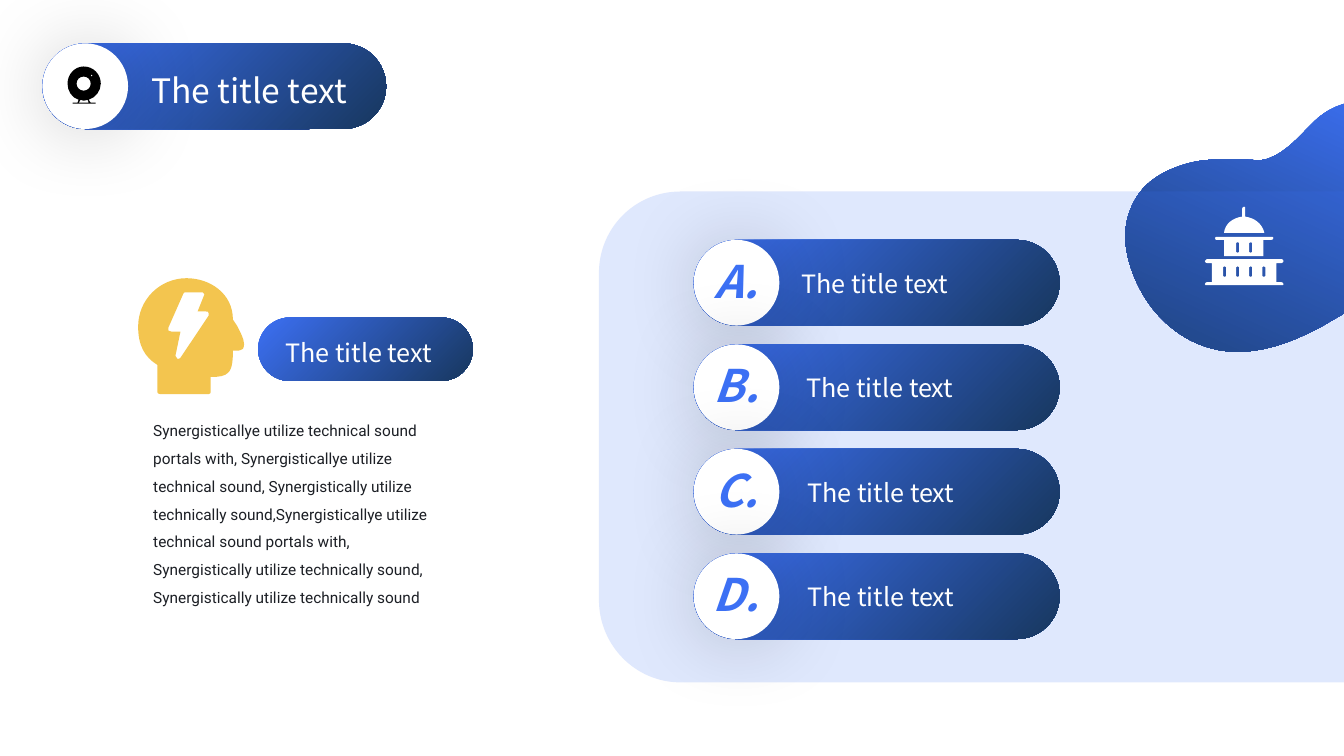
"""Build a title slide with four lettered pills, a side note and icons."""
import math
from dataclasses import dataclass

from lxml import etree
from pptx import Presentation
from pptx import util as u
from pptx.dml import color
from pptx.enum import shapes, text
from pptx.oxml import ns

HUES = {"blue": "3C70F4", "navy": "17375E", "white": "FFFFFF",
        "gold": "F3C54F", "black": "000000", "ink": "1C1F25"}
SANS = "Noto Sans CJK SC"
TITLE = "The title text"
NOTE = ("Synergisticallye utilize technical sound portals with, "
        "Synergisticallye utilize technical sound, "
        "Synergistically utilize technically sound,"
        "Synergisticallye utilize technical sound portals with, "
        "Synergistically utilize technically sound, "
        "Synergistically utilize technically sound")
DISC = 0.85
TILT = 20.5
HUB = (12.49, 2.42)

BLOB = """M 13.33 1.03 L 13.33 3.11 L 13.09 3.25
C 12.99 3.3 12.89 3.35 12.78 3.39 C 12.57 3.47 12.34 3.51 12.13 3.48
C 11.72 3.42 11.41 3.12 11.26 2.77 C 11.2 2.63 11.16 2.48 11.16 2.32
C 11.17 2.17 11.22 2.01 11.33 1.88 C 11.46 1.73 11.67 1.64 11.88 1.6
C 12.08 1.57 12.28 1.58 12.47 1.59 C 12.5 1.59 12.53 1.59 12.56 1.58
C 12.75 1.52 12.88 1.36 13.02 1.22 C 13.09 1.15 13.16 1.1 13.25 1.06"""
PANEL = """M 6.75 1.9 L 13.33 1.9 L 13.33 6.77 L 6.75 6.77
C 6.3 6.77 5.94 6.4 5.94 5.95 L 5.94 2.71 C 5.94 2.26 6.3 1.9 6.75 1.9"""
HEAD = """M 2.35 3.23 C 2.33 3.2 2.31 3.17 2.31 3.17
C 2.31 2.91 2.08 2.76 1.85 2.76 C 1.59 2.76 1.37 2.97 1.37 3.24
C 1.37 3.42 1.43 3.54 1.56 3.62 L 1.56 3.89 C 1.56 3.9 1.57 3.91 1.59 3.91
L 2.07 3.91 C 2.08 3.91 2.09 3.9 2.09 3.89 L 2.09 3.74
C 2.18 3.74 2.23 3.73 2.26 3.7 C 2.31 3.66 2.31 3.54 2.31 3.48
C 2.32 3.48 2.35 3.48 2.36 3.48 C 2.38 3.48 2.39 3.47 2.41 3.46
C 2.42 3.44 2.42 3.43 2.42 3.42 L 2.42 3.41 C 2.42 3.36 2.38 3.29 2.35 3.23
M 2.07 3.13 L 1.79 3.55 C 1.79 3.55 1.78 3.56 1.77 3.56 L 1.76 3.56
C 1.76 3.55 1.74 3.54 1.74 3.53 L 1.79 3.29 L 1.7 3.29
C 1.68 3.29 1.68 3.29 1.67 3.28 C 1.67 3.28 1.67 3.26 1.67 3.25
L 1.82 2.91 C 1.82 2.9 1.83 2.9 1.83 2.9 L 2.01 2.9
C 2.01 2.9 2.02 2.9 2.02 2.91 C 2.03 2.91 2.03 2.93 2.02 2.94
L 1.96 3.09 L 2.04 3.09 C 2.06 3.09 2.07 3.09 2.07 3.11"""
CAM = """M 0.83 0.66 C 0.93 0.66 1 0.74 1 0.83 C 1 0.9 0.95 0.97 0.88 0.99
L 0.9 1.02 L 0.95 1.02 L 0.95 1.03 L 0.72 1.03 L 0.72 1.02 L 0.77 1.02
L 0.78 0.99 C 0.71 0.97 0.67 0.9 0.67 0.83 C 0.67 0.74 0.74 0.66 0.83 0.66
M 0.8 0.99 L 0.78 1.02 L 0.88 1.02 L 0.87 0.99
C 0.86 0.99 0.85 1 0.83 1 C 0.82 1 0.81 0.99 0.8 0.99
M 0.83 0.76 C 0.79 0.76 0.76 0.79 0.76 0.83 C 0.76 0.87 0.79 0.9 0.83 0.9
C 0.87 0.9 0.9 0.87 0.9 0.83 C 0.9 0.79 0.87 0.76 0.83 0.76
M 0.91 0.74 C 0.91 0.74 0.9 0.74 0.9 0.75 C 0.9 0.75 0.91 0.76 0.91 0.76
C 0.92 0.76 0.92 0.75 0.92 0.75 C 0.92 0.74 0.92 0.74 0.91 0.74"""
DOME = """M 12.54 2.31 C 12.52 2.22 12.44 2.16 12.35 2.15 L 12.35 2.07
C 12.35 2.06 12.35 2.05 12.34 2.05 C 12.33 2.05 12.32 2.06 12.32 2.07
L 12.32 2.15 C 12.23 2.16 12.15 2.22 12.14 2.31"""
HALL = """M 12.06 2.38 L 12.14 2.38 L 12.14 2.54 L 12.53 2.54 L 12.53 2.38
L 12.61 2.38 C 12.62 2.38 12.63 2.37 12.63 2.36 C 12.63 2.35 12.62 2.35 12.61 2.35
L 12.06 2.35 C 12.06 2.35 12.05 2.35 12.05 2.36 C 12.05 2.37 12.06 2.38 12.06 2.38"""
BASE = """M 12.71 2.8 L 12.66 2.8 L 12.66 2.61 L 12.71 2.61
C 12.72 2.61 12.73 2.6 12.73 2.59 C 12.73 2.58 12.72 2.57 12.71 2.57
L 11.97 2.57 C 11.96 2.57 11.95 2.58 11.95 2.59 C 11.95 2.6 11.96 2.61 11.97 2.61
L 12.02 2.61 L 12.02 2.8 L 11.97 2.8 C 11.96 2.8 11.95 2.81 11.95 2.82
C 11.95 2.83 11.96 2.83 11.97 2.83 L 12.71 2.83
C 12.72 2.83 12.73 2.83 12.73 2.82 C 12.73 2.81 12.72 2.8 12.71 2.8"""


@dataclass
class Row:
    mark: str
    left: float


@dataclass
class Style:
    size: float
    hue: str = "white"
    font: str = SANS
    bold: bool = False
    pad: bool = True
    align: text.PP_ALIGN = text.PP_ALIGN.LEFT
    mid: bool = False
    space: float = 1.0


ROWS = [Row("A.", 7.85), Row("B.", 7.9), Row("C.", 7.91), Row("D.", 7.91)]
HEADING = Style(24)
LABEL = Style(18, align=text.PP_ALIGN.JUSTIFY)
MARK = Style(32, "blue", bold=True, pad=False, align=text.PP_ALIGN.CENTER, mid=True)
BODY = Style(11, "ink", "Roboto", pad=False, space=1.5)


def rgb(hue: str) -> color.RGBColor:
    return color.RGBColor.from_string(HUES[hue])


def paint(shape, hue: str = "", angle: float = 315) -> None:
    shape.shadow.inherit = False
    shape.line.fill.background()
    if hue:
        shape.fill.solid()
        shape.fill.fore_color.rgb = rgb(hue)
        return
    shape.fill.gradient()
    shape.fill.gradient_angle = angle
    for stop, tone, pos in zip(shape.fill.gradient_stops, ("blue", "navy"), (0, 1)):
        stop.color.rgb = rgb(tone)
        stop.position = pos


def place(x: float, y: float, turn: float) -> tuple[int, int]:
    c, s = math.cos(math.radians(turn)), math.sin(math.radians(turn))
    dx, dy = x - HUB[0], y - HUB[1]
    return u.Inches(HUB[0] + dx * c - dy * s), u.Inches(HUB[1] + dx * s + dy * c)


def trace(step: str, turn: float) -> list[tuple[int, int]]:
    nums = [float(n) for n in step.split()]
    return [place(x, y, turn) for x, y in zip(nums[::2], nums[1::2])]


def outline(slide, route: str, hue: str = "", angle: float = 315, turn: float = 0):
    loops = [[trace(step, turn) for step in
              part.replace("L", "|").replace("C", "|").split("|")]
             for part in route.split("M")[1:]]
    pen = slide.shapes.build_freeform(*loops[0][0][0], scale=1.0)
    for i, loop in enumerate(loops):
        if i:
            pen.move_to(*loop[0][0])
        pen.add_line_segments([step[-1] for step in loop[1:]], close=True)
    shape = pen.convert_to_shape()
    nodes = list(shape._element.iter(ns.qn("a:moveTo"), ns.qn("a:lnTo")))
    for node, step in zip(nodes, sum(loops, [])):
        if len(step) == 3:
            bend = etree.Element(ns.qn("a:cubicBezTo"))
            for x, y in step:
                etree.SubElement(bend, ns.qn("a:pt"),
                                 x=str(x - shape.left), y=str(y - shape.top))
            node.getparent().replace(node, bend)
    shape.rotation = -turn % 360
    paint(shape, hue, angle)
    return shape


def slot(x: float, y: float) -> str:
    a, b, c, d = x + 0.03, y + 0.01, y + 0.1, y + 0.11
    return (f" M {x} {b} C {x} {y} {a} {y} {a} {b}"
            f" L {a} {c} C {a} {d} {x} {d} {x} {c}")


def pill(slide, x: float, y: float, w: float, h: float) -> None:
    bar = slide.shapes.add_shape(shapes.MSO_SHAPE.ROUNDED_RECTANGLE,
                                 *map(u.Inches, (x, y, w, h)))
    bar.adjustments[0] = 0.5
    paint(bar)


def disc(slide, x: float, y: float) -> None:
    dot = slide.shapes.add_shape(shapes.MSO_SHAPE.OVAL, *map(u.Inches, (x, y, DISC, DISC)))
    paint(dot, "white")
    glow = etree.SubElement(dot._element.spPr.find(ns.qn("a:effectLst")),
                            ns.qn("a:outerShdw"), blurRad=str(u.Pt(59)),
                            dist=str(u.Pt(3)), dir="2700000", algn="tl", rotWithShape="0")
    tint = etree.SubElement(glow, ns.qn("a:srgbClr"), val=HUES["black"])
    etree.SubElement(tint, ns.qn("a:alpha"), val="20000")


def write(slide, words: str, x: float, y: float, w: float, h: float, look: Style) -> None:
    frame = slide.shapes.add_textbox(*map(u.Inches, (x, y, w, h))).text_frame
    frame.word_wrap = True
    frame.auto_size = text.MSO_AUTO_SIZE.SHAPE_TO_FIT_TEXT
    if look.mid:
        frame.vertical_anchor = text.MSO_ANCHOR.MIDDLE
    if not look.pad:
        frame.margin_left = frame.margin_right = frame.margin_top = frame.margin_bottom = 0
    para = frame.paragraphs[0]
    para.alignment, para.line_spacing = look.align, look.space
    run = para.add_run()
    run.text = words
    run.font.size, run.font.name = u.Pt(look.size), look.font
    run.font.bold = run.font.italic = look.bold
    run.font.color.rgb = rgb(look.hue)


def main() -> None:
    deck = Presentation()
    deck.slide_width, deck.slide_height = u.Inches(13.33), u.Inches(7.5)
    slide = deck.slides.add_slide(deck.slide_layouts[6])
    outline(slide, BLOB, angle=225, turn=TILT)
    panel = outline(slide, PANEL, "blue")
    tint = panel._element.spPr.find(ns.qn("a:solidFill"))[0]
    etree.SubElement(tint, ns.qn("a:alpha"), val="16000")
    tops = [2.38 + i * 3.11 / 3 for i in range(len(ROWS))]
    for row, top in zip(ROWS, tops):
        pill(slide, 6.88, top, 3.63, DISC)
        disc(slide, 6.88, top)
        write(slide, row.mark, 7.04, top + 0.13, 0.52, 0.54, MARK)
    outline(slide, HEAD, "gold")
    pill(slide, 0.42, 0.43, 3.41, DISC)
    disc(slide, 0.42, 0.43)
    write(slide, TITLE, 1.4, 0.64, 2.43, 0.5, HEADING)
    outline(slide, CAM, "black")
    for row, top in zip(ROWS, tops):
        write(slide, TITLE, row.left, top + 0.23, 2.18, 0.4, LABEL)
    pill(slide, 2.56, 3.15, 2.13, 0.63)
    write(slide, TITLE, 2.73, 3.3, 1.87, 0.4, LABEL)
    write(slide, NOTE, 1.52, 4.09, 2.77, 2.5, BODY)
    outline(slide, BASE + "".join(slot(12.13 + 0.13 * i, 2.64) for i in range(4)), "white")
    outline(slide, DOME, "white")
    outline(slide, HALL + "".join(slot(12.26 + 0.13 * i, 2.4) for i in range(2)), "white")
    deck.save("out.pptx")


if __name__ == "__main__":
    main()
